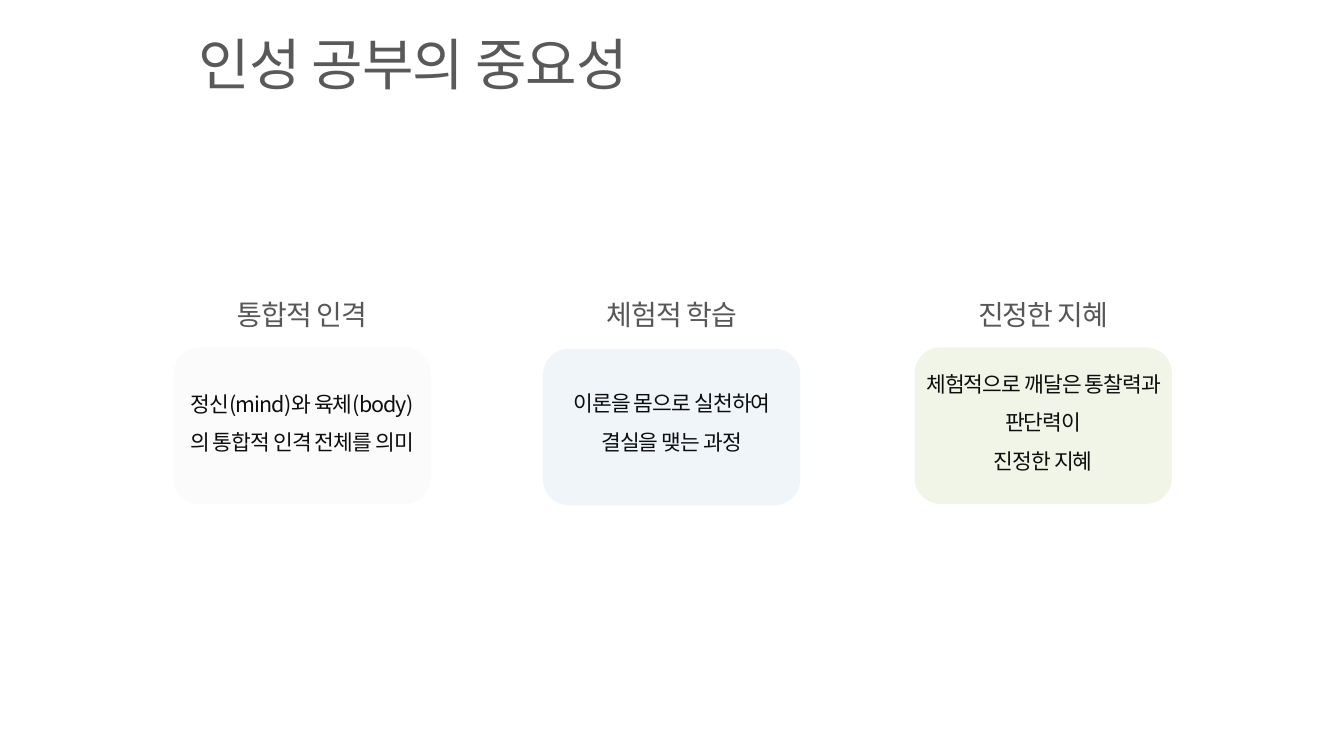
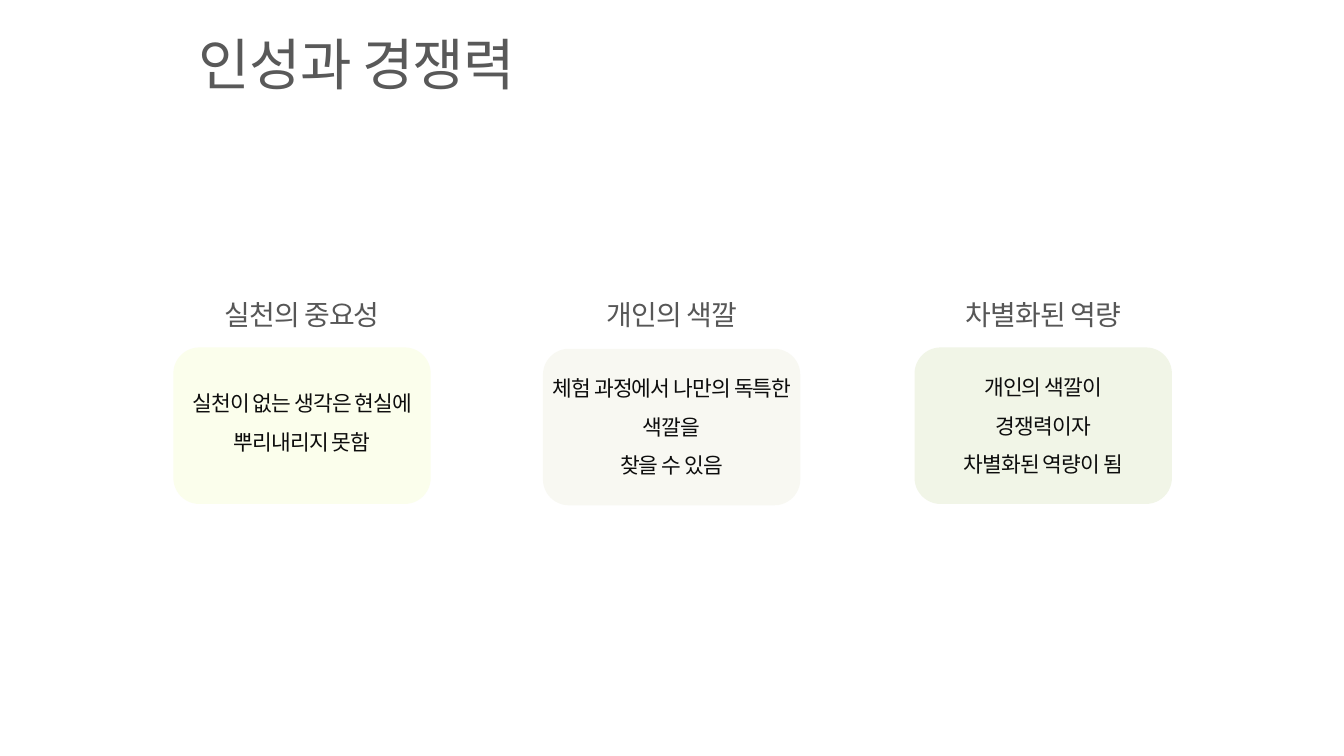
import pptx
import pptx.dml.color
import pptx.enum.shapes
import pptx.enum.text
import pptx.oxml.ns
import pptx.util
from lxml import etree

COLORS = {
    "background": "FFFFFF", "title": "595959", "heading": "000000", "body": "0D0D0D",
    "gray": "FBFBFB", "blue": "F0F5FA", "green": "F1F5E7",
    "lemon": "FBFEEC", "ivory": "F8F8F2",
}
FONT = "Noto Sans CJK KR"
LEFT, CENTER = pptx.enum.text.PP_ALIGN.LEFT, pptx.enum.text.PP_ALIGN.CENTER
STYLES = {
    "title": {"size": 60, "spacing": 1.0, "align": LEFT},
    "heading": {"size": 30, "spacing": 1.0, "align": CENTER, "alpha": 66},
    "body": {"size": 23, "spacing": 1.5, "align": CENTER},
}

COLUMNS, ROWS = 20, 11.25
TITLE_BOX = (2.96, 0.35, 7.62, 1.19)
CARD_W, CARD_H = 3.83, 2.33
CARD_SPOTS = [(2.58, 5.17), (8.08, 5.19), (13.61, 5.17)]
HEADING_TOP, HEADING_W, HEADING_H = 4.32, 3.15, 0.71
BODY_W, BODY_H = 3.56, 1.26

# Each card: fill, heading, top row of the body text, body paragraphs
SLIDES = [
    ("인성 공부의 중요성", [
        ("gray", "통합적 인격", 5.57, ["정신(mind)와 육체(body)의 통합적 인격 전체를 의미"]),
        ("blue", "체험적 학습", 5.56, ["이론을 몸으로 실천하여 결실을 맺는 과정"]),
        ("green", "진정한 지혜", 5.56, ["체험적으로 깨달은 통찰력과 판단력이", "진정한 지혜"]),
    ]),
    ("인성과 경쟁력", [
        ("lemon", "실천의 중요성", 5.56, ["실천이 없는 생각은 현실에 뿌리내리지 못함"]),
        ("ivory", "개인의 색깔", 5.62, ["체험 과정에서 나만의 독특한 색깔을", "찾을 수 있음"]),
        ("green", "차별화된 역량", 5.61, ["개인의 색깔이", "경쟁력이자", "차별화된 역량이 됨"]),
    ]),
]


def rgb(name):
    return pptx.dml.color.RGBColor.from_string(COLORS[name])


class Deck:
    """Holds the grid, the text styles and the current slide."""

    def __init__(self):
        self.prs = pptx.Presentation()
        self.prs.slide_width = pptx.util.Inches(20)
        self.prs.slide_height = pptx.util.Inches(11.25)
        self.column = self.prs.slide_width / COLUMNS
        self.row = self.prs.slide_height / ROWS

    def place(self, x, y, w, h):
        """Turn columns and rows into slide lengths."""
        return (round(x * self.column), round(y * self.row),
                round(w * self.column), round(h * self.row))

    def new_slide(self, title):
        self.s = self.prs.slides.add_slide(self.prs.slide_layouts[6])
        fill = self.s.background.fill
        fill.solid()
        fill.fore_color.rgb = rgb("background")
        self.text(TITLE_BOX, [title], "title")

    def text(self, box, lines, style):
        fmt = STYLES[style]
        tf = self.s.shapes.add_textbox(*self.place(*box)).text_frame
        frame = {"word_wrap": True, "vertical_anchor": pptx.enum.text.MSO_ANCHOR.MIDDLE,
                 "margin_left": 0, "margin_right": 0, "margin_top": 0, "margin_bottom": 0}
        for name, value in frame.items():
            setattr(tf, name, value)
        for i, line in enumerate(lines):
            p = tf.add_paragraph() if i else tf.paragraphs[0]
            p.alignment, p.line_spacing = fmt["align"], fmt["spacing"]
            r = p.add_run()
            r.text = line
            self.style_run(r, style)

    def style_run(self, r, style):
        fmt = STYLES[style]
        for name, value in {"name": FONT, "size": pptx.util.Pt(fmt["size"])}.items():
            setattr(r.font, name, value)
        r.font.color.rgb = rgb(style)
        qn = pptx.oxml.ns.qn
        props = r.font._element
        props.set("spc", "-100")
        props.find(qn("a:latin")).addnext(
            etree.Element(qn("a:ea"), typeface=FONT))
        if "alpha" in fmt:
            color = props.find(".//" + qn("a:srgbClr"))
            etree.SubElement(color, qn("a:alpha"), val=str(fmt["alpha"] * 1000))

    def panel(self, box, fill):
        sp = self.s.shapes.add_shape(
            pptx.enum.shapes.MSO_SHAPE.ROUNDED_RECTANGLE, *self.place(*box))
        sp.shadow.inherit = False
        sp.fill.solid()
        sp.fill.fore_color.rgb = rgb(fill)
        sp.line.fill.background()

    def card(self, spot, fill, heading, body_top, lines):
        """Draw a panel with its heading and body centred on it."""
        x, y = spot
        middle = x + CARD_W / 2
        self.panel((x, y, CARD_W, CARD_H), fill)
        self.text((middle - HEADING_W / 2, HEADING_TOP, HEADING_W, HEADING_H),
                  [heading], "heading")
        self.text((middle - BODY_W / 2, body_top, BODY_W, BODY_H), lines, "body")


def main():
    deck = Deck()
    for title, cards in SLIDES:
        deck.new_slide(title)
        for spot, card in zip(CARD_SPOTS, cards):
            deck.card(spot, *card)
    deck.prs.save("out.pptx")


if __name__ == "__main__":
    main()
